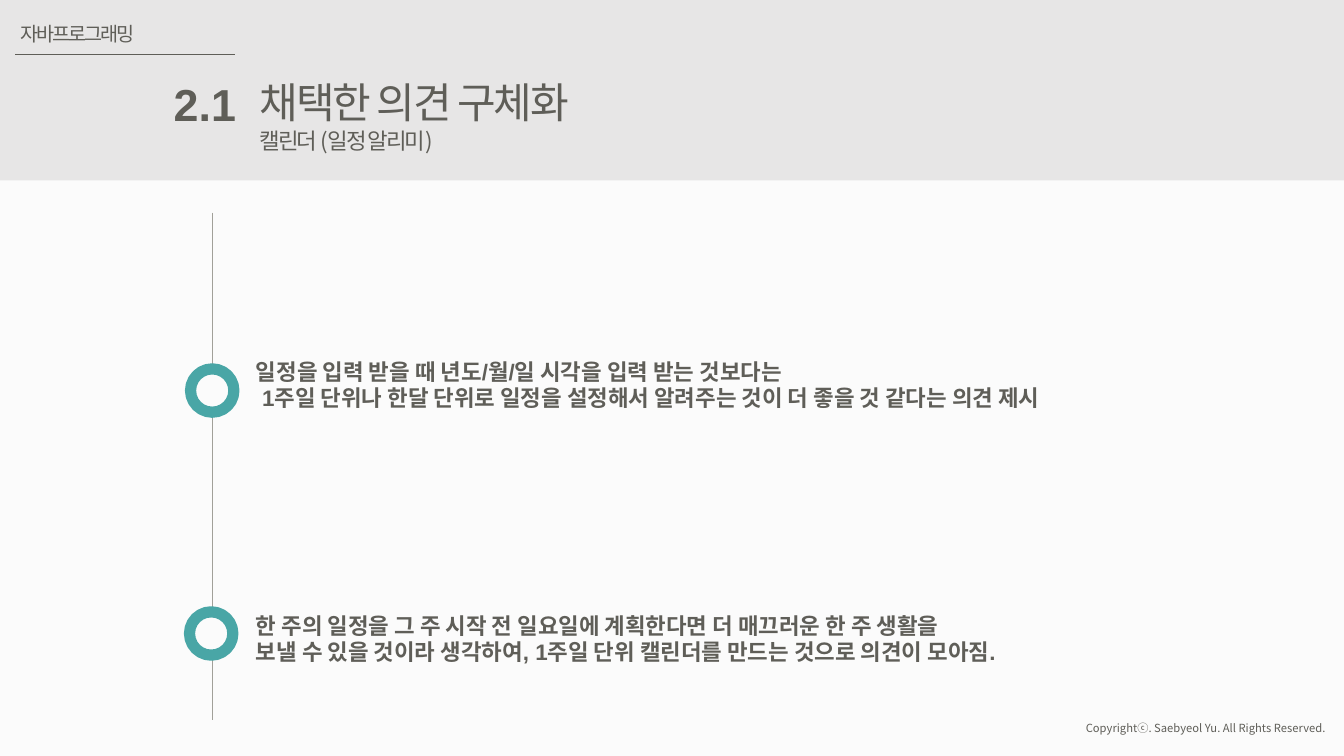
import pptx
import pptx.dml.color
import pptx.enum.shapes
import pptx.enum.text
import pptx.oxml.ns
import pptx.util
from dataclasses import dataclass
from lxml import etree
from pptx.util import Inches


@dataclass(frozen=True)
class Theme:
    page: str = "FBFBFB"
    band: str = "E7E6E6"
    ink: str = "5F5E58"
    rail: str = "A1A099"
    teal: str = "49A6A6"
    latin: str = "Arial"
    hangul: str = "Noto Sans CJK KR"
    number: int = 32
    title: int = 30
    body: int = 16
    label: int = 14
    small: int = 8
    thin: float = 0.5
    ring: int = 8


THEME = Theme()
LEFT = pptx.enum.text.PP_ALIGN.LEFT
RIGHT = pptx.enum.text.PP_ALIGN.RIGHT


def color(code):
    return pptx.dml.color.RGBColor.from_string(code)


def add_text(slide, box, lines, font, bold=False, align=LEFT, spacing=0):
    """Add one paragraph per (text, size) pair; spacing is in points."""
    frame = slide.shapes.add_textbox(*map(Inches, box)).text_frame
    frame.word_wrap = False
    frame.auto_size = pptx.enum.text.MSO_AUTO_SIZE.SHAPE_TO_FIT_TEXT
    frame.text = "\n".join(text for text, size in lines)
    for para, (text, size) in zip(frame.paragraphs, lines):
        para.alignment = align
        for run in para.runs:
            run.font.size = pptx.util.Pt(size)
            run.font.bold = bold
            run.font.color.rgb = color(THEME.ink)
            run.font.name = font
            props = run._r.get_or_add_rPr()
            east = etree.SubElement(props, pptx.oxml.ns.qn("a:ea"))
            east.set("typeface", THEME.hangul)
            if spacing:
                props.set("spc", str(int(spacing * 100)))


def add_shape(slide, kind, box, fill, line=None):
    shape = slide.shapes.add_shape(kind, *map(Inches, box))
    shape.shadow.inherit = False
    shape.fill.solid()
    shape.fill.fore_color.rgb = color(fill)
    if line:
        shape.line.color.rgb = color(line)
        shape.line.width = pptx.util.Pt(THEME.ring)
    else:
        shape.line.fill.background()


def add_line(slide, ends, tint):
    straight = pptx.enum.shapes.MSO_CONNECTOR.STRAIGHT
    line = slide.shapes.add_connector(straight, *map(Inches, ends))
    line.line.color.rgb = color(tint)
    line.line.width = pptx.util.Pt(THEME.thin)
    etree.SubElement(line._element.spPr, pptx.oxml.ns.qn("a:effectLst"))


def add_header(slide):
    add_shape(slide, pptx.enum.shapes.MSO_SHAPE.RECTANGLE,
              (0, 0, 13.33, 1.79), THEME.band)
    add_line(slide, (0.15, 0.54, 2.33, 0.54), THEME.ink)
    add_text(slide, (0.11, 0.17, 1.43, 0.34),
             [("자바프로그래밍", THEME.label)], THEME.latin, spacing=-1.5)
    add_text(slide, (1.62, 0.71, 0.82, 0.64),
             [("2.1", THEME.number)], THEME.latin, bold=True, align=RIGHT)
    add_text(slide, (2.48, 0.71, 3.65, 0.88),
             [("채택한 의견 구체화", THEME.title),
              ("캘린더 (일정 알리미)", THEME.body)],
             THEME.hangul, spacing=-1.5)


def add_steps(slide):
    """Draw the vertical rail with a ring and a text for each step."""
    steps = [
        ((1.89, 3.66), (3.5, 8.78),
         ["일정을 입력 받을 때 년도/월/일 시각을 입력 받는 것보다는",
          " 1주일 단위나 한달 단위로 일정을 설정해서 알려주는 것이 더 좋을 것 같다는 의견 제시"]),
        ((1.88, 6.07), (6.02, 8.43),
         ["한 주의 일정을 그 주 시작 전 일요일에 계획한다면 더 매끄러운 한 주 생활을",
          "보낼 수 있을 것이라 생각하여, 1주일 단위 캘린더를 만드는 것으로 의견이 모아짐."]),
    ]
    add_line(slide, (2.11, 2.11, 2.11, 7.14), THEME.rail)
    for ring, (top, width), lines in steps:
        add_shape(slide, pptx.enum.shapes.MSO_SHAPE.OVAL,
                  (*ring, 0.43, 0.43), THEME.page, THEME.teal)
        add_text(slide, (2.44, top, width, 0.94),
                 [(line, THEME.body) for line in lines],
                 THEME.latin, bold=True)


def main():
    deck = pptx.Presentation()
    deck.slide_width = Inches(13.33)
    deck.slide_height = Inches(7.5)
    slide = deck.slides.add_slide(deck.slide_layouts[6])
    slide.background.fill.solid()
    slide.background.fill.fore_color.rgb = color(THEME.page)
    add_text(slide, (10.62, 7.11, 2.63, 0.24),
             [("Copyrightⓒ. Saebyeol Yu. All Rights Reserved.", THEME.small)],
             THEME.hangul, align=RIGHT)
    add_header(slide)
    add_steps(slide)
    deck.save("out.pptx")


if __name__ == "__main__":
    main()
